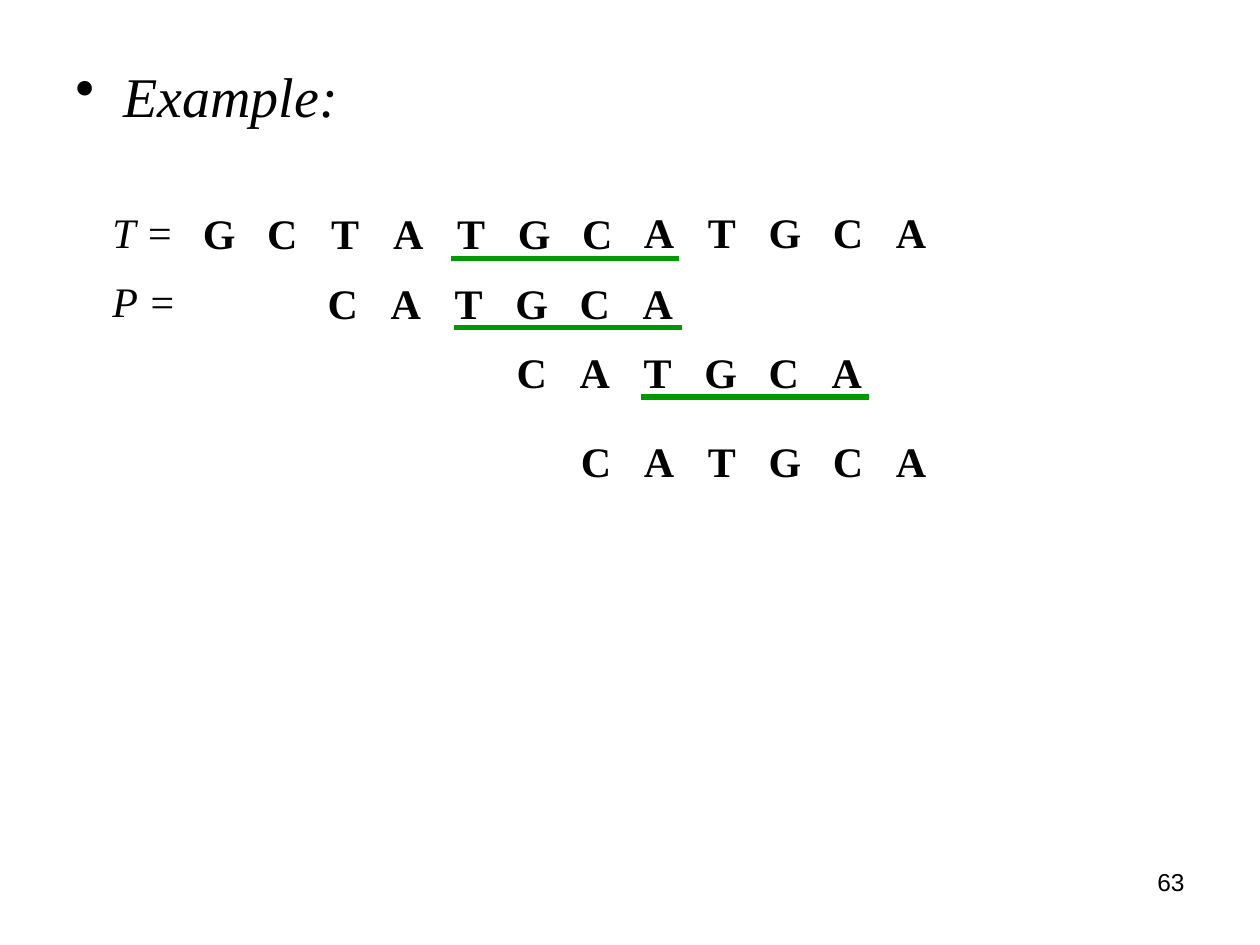
from dataclasses import dataclass

from lxml import etree
from pptx import Presentation
from pptx.dml.color import RGBColor
from pptx.enum.shapes import MSO_CONNECTOR
from pptx.enum.text import PP_ALIGN
from pptx.oxml.ns import qn
from pptx.util import Inches, Pt

LEFT, CENTER, RIGHT = PP_ALIGN.LEFT, PP_ALIGN.CENTER, PP_ALIGN.RIGHT
STRAIGHT = MSO_CONNECTOR.STRAIGHT


@dataclass(frozen=True)
class Theme:
    ink: RGBColor = RGBColor(0, 0, 0)
    match: RGBColor = RGBColor(0x00, 0x99, 0x00)
    serif: str = "Times New Roman"
    sans: str = "Arial"
    heading_size: int = 32
    letter_size: int = 24
    number_size: int = 14
    match_width: int = 3


THEME = Theme()
CELL = 0.5
LABEL_WIDTH = 0.79
MATCH_WIDTH = 1.81
PATTERN = "CATGCA"

# Letters, left, top
SEQUENCES = [
    ("GCTATGC", 1.49, 1.60),
    ("ATGCA", 4.98, 1.59),
    (PATTERN, 2.47, 2.15),
    (PATTERN, 3.97, 2.70),
    (PATTERN, 4.48, 3.41),
]
LABELS = [("T =", 0.74, 1.59), ("P =", 0.75, 2.14)]
# Left, height on the page
MATCHES = [(3.58, 2.05), (3.60, 2.60), (5.09, 3.15)]


def add_text(page, text, left, top, width, height, size, font=THEME.serif,
             align=CENTER, bold=False, italic=False, bullet=False):
    box = page.shapes.add_textbox(Inches(left), Inches(top),
                                  Inches(width), Inches(height))
    frame = box.text_frame
    frame.word_wrap = True
    frame.text = text
    para = frame.paragraphs[0]
    para.alignment = align
    if bullet:
        add_bullet(para)
    span = para.runs[0]
    span.font.name = font
    span.font.size = Pt(size)
    span.font.bold = bold
    span.font.italic = italic
    span.font.color.rgb = THEME.ink


def add_bullet(para):
    properties = para._p.get_or_add_pPr()
    properties.set("marL", str(Inches(0.38)))
    properties.set("indent", str(Inches(-0.38)))
    etree.SubElement(properties, qn("a:buChar")).set("char", "•")


def add_sequence(page, letters, left, top):
    """Set the letters in equal cells, one box each."""
    for column, letter in enumerate(letters):
        add_text(page, letter, left + column * CELL, top, CELL, CELL,
                 THEME.letter_size, bold=True)


def add_match_line(page, left, top):
    line = page.shapes.add_connector(
        STRAIGHT, Inches(left + MATCH_WIDTH), Inches(top),
        Inches(left), Inches(top))
    line.line.color.rgb = THEME.match
    line.line.width = Pt(THEME.match_width)
    etree.SubElement(line._element.spPr, qn("a:effectLst"))


def add_alignment(page):
    """Show the text, the shifted patterns and their matching parts."""
    for text, left, top in LABELS:
        add_text(page, text, left, top, LABEL_WIDTH, CELL,
                 THEME.letter_size, italic=True)
    for letters, left, top in SEQUENCES:
        add_sequence(page, letters, left, top)
    for left, top in MATCHES:
        add_match_line(page, left, top)


def main():
    deck = Presentation()
    deck.slide_width, deck.slide_height = Inches(10), Inches(7.5)
    page = deck.slides.add_slide(deck.slide_layouts[6])
    add_text(page, "Example:", 0.5, 0.44, 9, 6.26, THEME.heading_size,
             align=LEFT, italic=True, bullet=True)
    add_alignment(page)
    add_text(page, "63", 7.17, 6.83, 2.33, 0.52, THEME.number_size,
             font=THEME.sans, align=RIGHT)
    deck.save("out.pptx")


if __name__ == "__main__":
    main()
